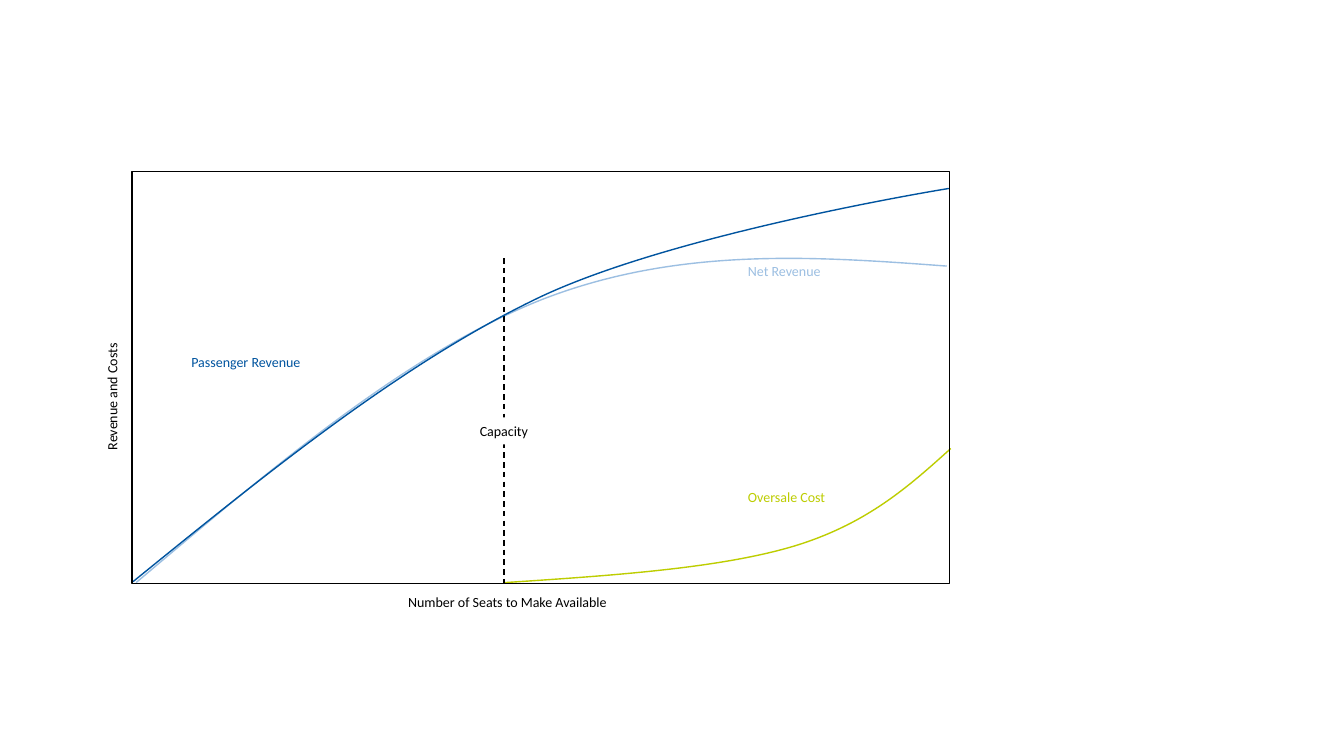
from pptx import Presentation
from pptx.dml.color import RGBColor
from pptx.enum import dml, shapes, text
from pptx.oxml import ns
from pptx.util import Inches, Pt
from lxml import etree

BLACK = RGBColor(0x00, 0x00, 0x00)
WHITE = RGBColor(0xFF, 0xFF, 0xFF)
DARK_BLUE = RGBColor(0x00, 0x54, 0x9F)
LIGHT_BLUE = RGBColor(0x9C, 0xBF, 0xE2)
LIME = RGBColor(0xBD, 0xCD, 0x00)


def add_curve(container, top, points, color):
    (left, bottom), (right, end_y) = points[0], points[-1]
    builder = container.build_freeform(Inches(left), Inches(bottom))
    builder.add_line_segments(
        [(Inches(right), Inches(top)), (Inches(right), Inches(end_y))], close=False)
    curve = builder.convert_to_shape()
    outline = next(curve._element.iter(ns.qn("a:moveTo"))).getparent()
    for straight in outline.findall(ns.qn("a:lnTo")):
        outline.remove(straight)
    for first in range(1, len(points), 3):
        bezier = etree.SubElement(outline, ns.qn("a:cubicBezTo"))
        for x, y in points[first:first + 3]:
            point = etree.SubElement(bezier, ns.qn("a:pt"))
            point.set("x", str(Inches(x) - Inches(left)))
            point.set("y", str(Inches(y) - Inches(top)))
    curve.shadow.inherit = False
    curve.fill.background()
    curve.line.color.rgb = color
    curve.line.width = Pt(1)


def add_label(container, caption, left, top, width, color):
    label = container.add_textbox(Inches(left), Inches(top), Inches(width), Inches(0.27))
    frame = label.text_frame
    frame.word_wrap = False
    frame.auto_size = text.MSO_AUTO_SIZE.SHAPE_TO_FIT_TEXT
    run = frame.paragraphs[0].add_run()
    run.text = caption
    run.font.name = "Calibri"
    run.font.size = Pt(10)
    run.font.color.rgb = color
    return label


presentation = Presentation()
presentation.slide_width = Inches(13.33)
presentation.slide_height = Inches(7.5)
slide = presentation.slides.add_slide(presentation.slide_layouts[6])

net_group = slide.shapes.add_group_shape().shapes
add_curve(net_group, 2.56, [
    (1.35, 5.78), (2.7, 4.64), (4.04, 3.5), (5.38, 2.97),
    (6.72, 2.45), (8.06, 2.54), (9.39, 2.64),
], LIGHT_BLUE)
add_label(net_group, "Net Revenue", 7.32, 2.56, 0.97, LIGHT_BLUE)
add_curve(net_group, 4.45, [
    (5.01, 5.78), (6.07, 5.71), (7.13, 5.64), (7.87, 5.42),
    (8.6, 5.2), (9.02, 4.82), (9.43, 4.45),
], LIME)
add_label(net_group, "Oversale Cost", 7.32, 4.8, 0.98, LIME)

plot_frame = slide.shapes.add_shape(
    shapes.MSO_SHAPE.RECTANGLE, Inches(1.31), Inches(1.7), Inches(8.11), Inches(4.09))
plot_frame.shadow.inherit = False
plot_frame.fill.background()
plot_frame.line.color.rgb = BLACK
plot_frame.line.width = Pt(1)

vertical_title = add_label(slide.shapes, "Revenue and Costs", 0.47, 3.79, 1.28, BLACK)
vertical_title.rotation = 270
add_label(slide.shapes, "Number of Seats to Make Available", 3.95, 5.84, 2.2, BLACK)

capacity_line = slide.shapes.add_connector(
    shapes.MSO_CONNECTOR.STRAIGHT, Inches(5), Inches(2.56), Inches(5), Inches(5.82))
capacity_line.line.color.rgb = BLACK
capacity_line.line.width = Pt(1)
capacity_line.line.dash_style = dml.MSO_LINE.DASH
etree.SubElement(capacity_line._element.spPr, ns.qn("a:effectLst"))

passenger_group = slide.shapes.add_group_shape().shapes
add_curve(passenger_group, 1.87, [
    (1.32, 5.77), (2.65, 4.69), (3.98, 3.61), (5.33, 2.96),
    (6.68, 2.31), (9.41, 1.87), (9.41, 1.87),
], DARK_BLUE)
add_label(passenger_group, "Passenger Revenue", 1.8, 3.46, 1.34, DARK_BLUE)

capacity_label = add_label(slide.shapes, "Capacity", 4.66, 4.14, 0.69, BLACK)
capacity_label.fill.solid()
capacity_label.fill.fore_color.rgb = WHITE

presentation.save("out.pptx")
